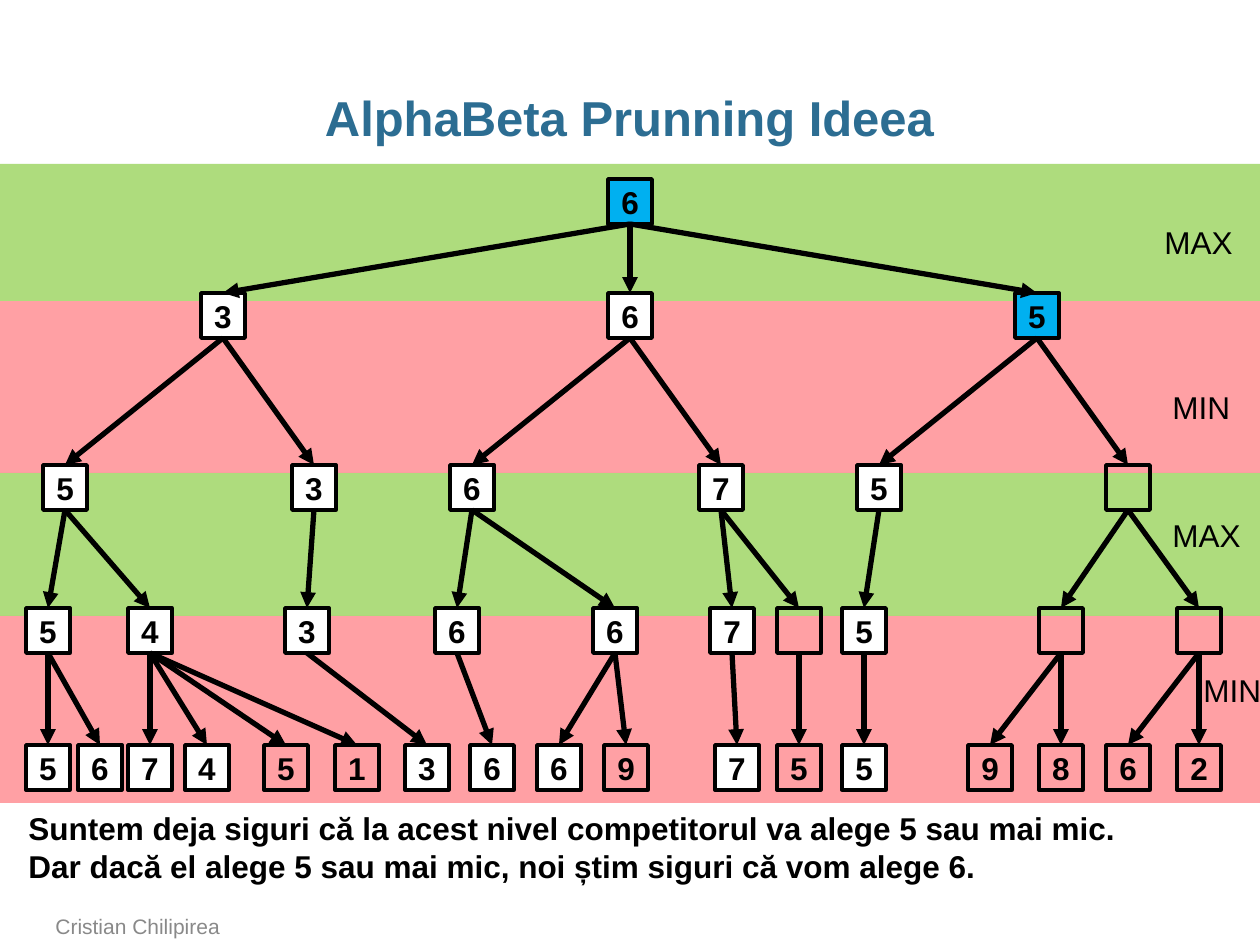
from lxml import etree
from pptx import Presentation
from pptx.dml.color import RGBColor
from pptx.enum.shapes import MSO_CONNECTOR, MSO_SHAPE
from pptx.enum.text import MSO_ANCHOR, PP_ALIGN
from pptx.oxml.ns import qn
from pptx.util import Pt

RECT, STRAIGHT = MSO_SHAPE.RECTANGLE, MSO_CONNECTOR.STRAIGHT
LEFT, CENTER = PP_ALIGN.LEFT, PP_ALIGN.CENTER
TOP, MIDDLE, BOTTOM = MSO_ANCHOR.TOP, MSO_ANCHOR.MIDDLE, MSO_ANCHOR.BOTTOM
BLACK, WHITE, BLUE, GREEN, RED = "000000", "FFFFFF", "00B0F0", "92D050", "FF7F85"
PX = 914400 / 126


def box(*px):
    return [round(v * PX) for v in px]


def write(sp, text, size=18, color=BLACK, bold=False, align=LEFT, anchor=TOP, wrap=True, spacing=None):
    tf = sp.text_frame
    tf.word_wrap = wrap
    tf.vertical_anchor = anchor
    for i, line in enumerate(text.split("\n")):
        p = tf.add_paragraph() if i else tf.paragraphs[0]
        p.alignment = align
        p.line_spacing = spacing
        r = p.add_run()
        r.text = line
        r.font.name = "Arial"
        r.font.size = Pt(size)
        r.font.bold = bold
        r.font.color.rgb = RGBColor.from_string(color)
    return tf


prs = Presentation()
prs.slide_width, prs.slide_height = box(1260, 945)
s = prs.slides.add_slide(prs.slide_layouts[6])

for top, bottom, color in [(616, 803, RED), (473, 616, GREEN), (301, 473, RED), (164, 301, GREEN)]:
    sp = s.shapes.add_shape(RECT, *box(0, top, 1260, bottom - top))
    sp.shadow.inherit = False
    sp.fill.solid()
    sp.fill.fore_color.rgb = RGBColor.from_string(color)
    clr = sp._element.spPr.find(qn("a:solidFill"))[0]
    etree.SubElement(clr, qn("a:alpha"), val="74000")
    sp.line.fill.background()

tf = write(s.shapes.add_textbox(*box(43, 86, 1173, 63)), "AlphaBeta Prunning Ideea",
           size=28, color="2C6D92", bold=True, align=CENTER, spacing=0.95)
tf.margin_left = tf.margin_right = 0
write(s.shapes.add_textbox(*box(43, 910, 929, 35)), "Cristian Chilipirea",
      size=12, color="898989", anchor=BOTTOM)

# Each node: centre x, value, fill, index of its parent in the level above
levels = [
    (179, [(630, "6", BLUE, None)]),
    (293, [(223, "3", WHITE, 0), (630, "6", WHITE, 0), (1037, "5", BLUE, 0)]),
    (465, [(65, "5", WHITE, 0), (314, "3", WHITE, 0), (472, "6", WHITE, 1),
           (721, "7", WHITE, 1), (879, "5", WHITE, 2), (1128, "", None, 2)]),
    (608, [(48, "5", WHITE, 0), (150, "4", WHITE, 0), (307, "3", WHITE, 1),
           (457, "6", WHITE, 2), (615, "6", WHITE, 2), (732, "7", WHITE, 3),
           (799, "", None, 3), (864, "5", WHITE, 4), (1061, "", None, 5),
           (1199, "", None, 5)]),
    (745, [(48, "5", WHITE, 0), (100, "6", WHITE, 0), (150, "7", WHITE, 1),
           (207, "4", WHITE, 1), (286, "5", None, 1), (357, "1", None, 1),
           (427, "3", WHITE, 2), (492, "6", WHITE, 3), (559, "6", WHITE, 4),
           (626, "9", None, 4), (737, "7", WHITE, 5), (799, "5", None, 6),
           (864, "5", WHITE, 7), (990, "9", None, 8), (1061, "8", None, 8),
           (1128, "6", None, 9), (1199, "2", None, 9)]),
]

parents = []
for top, nodes in levels:
    children = []
    for cx, value, fill, parent in nodes:
        sp = s.shapes.add_shape(RECT, *box(cx - 22, top, 44, 45))
        sp.shadow.inherit = False
        if fill:
            sp.fill.solid()
            sp.fill.fore_color.rgb = RGBColor.from_string(fill)
        else:
            sp.fill.background()
        sp.line.color.rgb = RGBColor.from_string(BLACK)
        sp.line.width = Pt(2)
        if value:
            write(sp, value, bold=True, align=CENTER, anchor=MIDDLE, wrap=False)
        children.append(sp)
        if parent is not None:
            c = s.shapes.add_connector(STRAIGHT, 0, 0, 0, 0)
            c.begin_connect(parents[parent], 2)
            c.end_connect(sp, 0)
            c.line.color.rgb = RGBColor.from_string(BLACK)
            c.line.width = Pt(3)
            spPr = c._element.spPr
            etree.SubElement(spPr.find(qn("a:ln")), qn("a:tailEnd"), type="triangle")
            etree.SubElement(spPr, qn("a:effectLst"))
    parents = children

for x, y, w, text in [(1191, 665, 83, "MIN"), (1152, 217, 94, "MAX"),
                      (1160, 510, 94, "MAX"), (1160, 382, 83, "MIN")]:
    write(s.shapes.add_textbox(*box(x, y, w, 50)), text, wrap=False)

write(s.shapes.add_textbox(*box(16, 803, 1216, 89)),
      "Suntem deja siguri că la acest nivel competitorul va alege 5 sau mai mic.\n"
      "Dar dacă el alege 5 sau mai mic, noi știm siguri că vom alege 6.", bold=True)

prs.save("out.pptx")
